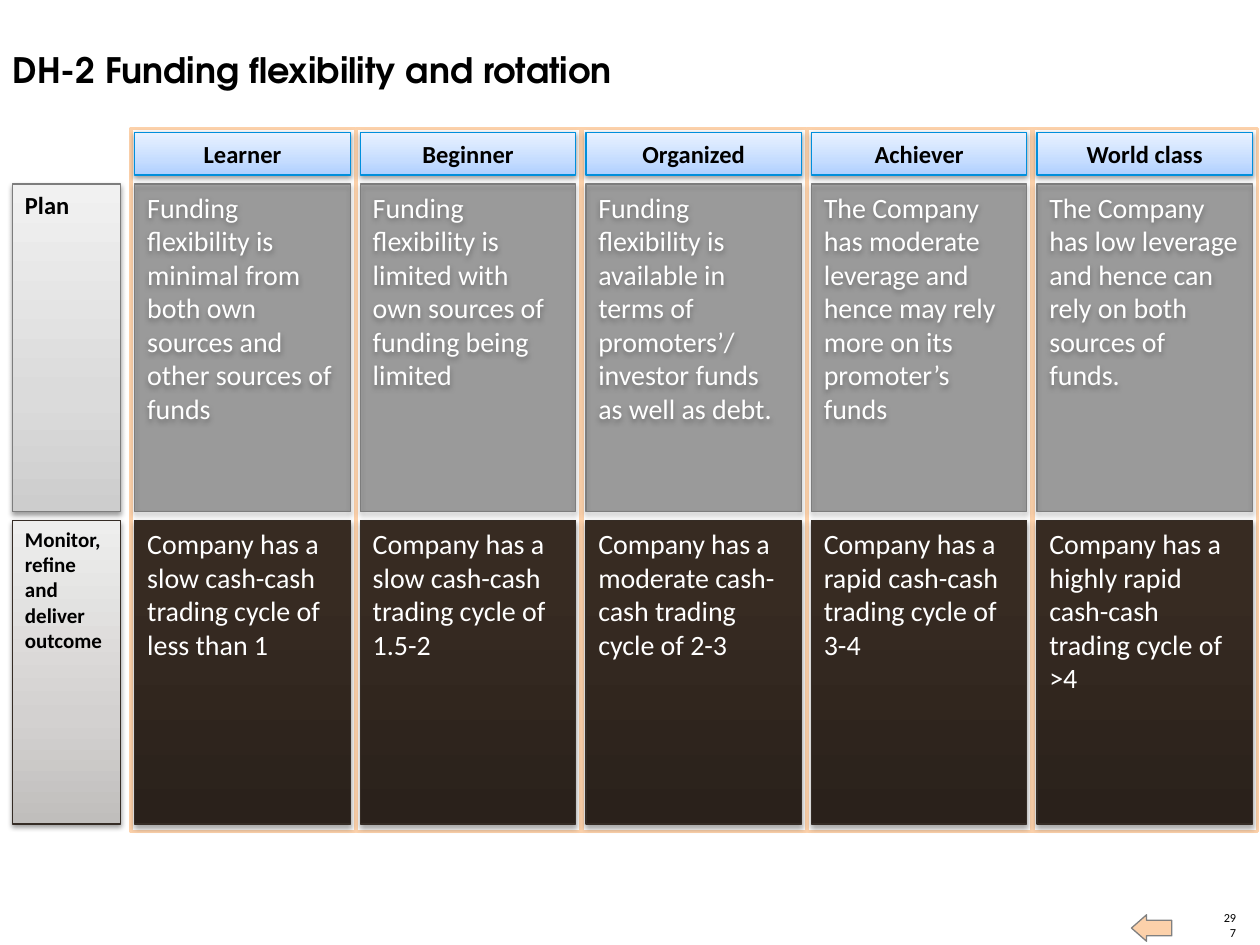
"""Build the funding flexibility and rotation maturity grid."""
from pptx import Presentation
from pptx import util as u
from pptx.dml.color import RGBColor
from pptx.enum import shapes, text
from pptx.oxml import parse_xml
from pptx.oxml.ns import nsdecls, qn

HEADING = "DH-2 Funding flexibility and rotation"
PAGE_NUMBER = "297"
LEVELS = ["Learner", "Beginner", "Organized", "Achiever", "World class"]
PLAN = [
    "Funding flexibility is minimal from both own sources and other sources of funds",
    "Funding flexibility is limited with own sources of funding being limited",
    "Funding flexibility is available in terms of promoters’/ investor funds as well as debt.",
    "The Company has moderate leverage and hence may rely more on its promoter’s funds",
    "The Company has low leverage and hence can rely on both sources of funds.",
]
OUTCOME = [
    "Company has a slow cash-cash trading cycle of less than 1",
    "Company has a slow cash-cash trading cycle of 1.5-2",
    "Company has a moderate cash-cash trading cycle of 2-3",
    "Company has a rapid cash-cash trading cycle of 3-4",
    "Company has a highly rapid cash-cash trading cycle of >4",
]

COLORS = {
    "black": "000000", "white": "FFFFFF", "peach": "FCD1AA", "arrow_edge": "808080",
    "plan_edge": "7D7D7D", "outcome_edge": "352C25", "level_edge": "008FDC",
}
GRADIENTS = {
    "plan_label": [(0, "CDCDCD"), (35, "DBDBDB"), (100, "F1F1F1")],
    "outcome_label": [(0, "C0BEBC"), (35, "D3D1D0"), (100, "EEEEED")],
    "outcome": [(0, "2A211B"), (80, "372B22"), (100, "372B22")],
    "level": [(0, "AECFFF"), (35, "C6DDFF"), (100, "E9F2FF")],
}
LABEL_SHADOW = {"alpha": 38, "distance": 1.6}
CELL_SHADOW = {"alpha": 35, "distance": 1.8}
TOP, MIDDLE = text.MSO_ANCHOR.TOP, text.MSO_ANCHOR.MIDDLE
LEFT, CENTER, RIGHT = text.PP_ALIGN.LEFT, text.PP_ALIGN.CENTER, text.PP_ALIGN.RIGHT

LABEL_LEFT, LABEL_WIDTH = 0.1, 0.86
PANEL_LEFT, PANEL_WIDTH, PITCH = 1.04, 1.78, 1.79
CELL_LEFT, CELL_WIDTH = 1.07, 1.71
LEVEL_BAND, PLAN_BAND, OUTCOME_BAND = (1.05, 0.34), (1.46, 2.6), (4.13, 2.41)


def rgb(name):
    return RGBColor.from_string(COLORS[name])


def apply(target, values):
    for name, value in values.items():
        setattr(target, name, value)


def write(shape, words, size, color="black", bold=False, font="Calibri",
          align=LEFT, anchor=TOP):
    frame = shape.text_frame
    apply(frame, {"text": words, "word_wrap": True, "vertical_anchor": anchor})
    paragraph = frame.paragraphs[0]
    paragraph.alignment = align
    apply(paragraph.font, {"name": font, "size": u.Pt(size), "bold": bold})
    paragraph.font.color.rgb = rgb(color)


def add_block(slide, box, edge, fill="white", width=0.75,
              kind=shapes.MSO_SHAPE.RECTANGLE):
    block = slide.shapes.add_shape(kind, *map(u.Inches, box))
    block.shadow.inherit = False
    block.fill.solid()
    block.fill.fore_color.rgb = rgb(fill)
    block.line.color.rgb = rgb(edge)
    block.line.width = u.Pt(width)
    return block


def set_gradient(block, stops):
    marks = "".join(f'<a:gs pos="{position * 1000}"><a:srgbClr val="{color}"/></a:gs>'
                    for position, color in stops)
    properties = block.fill._xPr
    properties.replace(properties.find(qn("a:solidFill")), parse_xml(
        f'<a:gradFill {nsdecls("a")} rotWithShape="1"><a:gsLst>{marks}</a:gsLst>'
        '<a:lin ang="16200000" scaled="0"/></a:gradFill>'))


def set_transparency(block, opacity):
    color = block.fill._xPr.find(qn("a:solidFill"))[0]
    color.append(parse_xml(f'<a:alpha {nsdecls("a")} val="{opacity * 1000}"/>'))


def set_shadow(block, alpha, distance):
    effects = block.fill._xPr.find(qn("a:effectLst"))
    effects.append(parse_xml(
        f'<a:outerShdw {nsdecls("a")} blurRad="{u.Pt(3.1)}" dist="{u.Pt(distance)}" '
        f'dir="5400000" rotWithShape="0"><a:srgbClr val="{COLORS["black"]}">'
        f'<a:alpha val="{alpha * 1000}"/></a:srgbClr></a:outerShdw>'))


def add_cell(slide, left, width, band, edge, words, style, shadow, gradient=None):
    top, height = band
    cell = add_block(slide, (left, top, width, height), edge, "black")
    if gradient:
        set_gradient(cell, GRADIENTS[gradient])
    else:
        set_transparency(cell, 32)
    set_shadow(cell, **shadow)
    write(cell, words, **style)


def main():
    deck = Presentation()
    apply(deck, {"slide_width": u.Inches(10), "slide_height": u.Inches(7.5)})
    slide = deck.slides.add_slide(deck.slide_layouts[5])

    heading = slide.shapes.title
    apply(heading, {"left": u.Inches(0), "top": u.Inches(0.33),
                    "width": u.Inches(8.6), "height": u.Inches(0.44)})
    write(heading, HEADING, 20, bold=True, font="TeX Gyre Adventor", anchor=MIDDLE)

    number = slide.shapes.add_textbox(*map(u.Inches, (9.69, 7.34, 0.12, 0.12)))
    apply(number.text_frame, dict.fromkeys(
        ("margin_left", "margin_top", "margin_right", "margin_bottom"), 0))
    write(number, PAGE_NUMBER, 7, align=RIGHT, anchor=text.MSO_ANCHOR.BOTTOM)

    back = add_block(slide, (8.98, 7.26, 0.32, 0.21), "arrow_edge", "peach",
                     kind=shapes.MSO_SHAPE.RIGHT_ARROW)
    back.rotation = 180
    back.adjustments[0], back.adjustments[1] = 0.59, 0.57

    for words, band, edge, gradient, size in (
            ("Plan", PLAN_BAND, "plan_edge", "plan_label", 14),
            ("Monitor, refine and deliver outcome", OUTCOME_BAND,
             "outcome_edge", "outcome_label", 12)):
        add_cell(slide, LABEL_LEFT, LABEL_WIDTH, band, edge, words,
                 {"size": size, "bold": True}, LABEL_SHADOW, gradient)

    for column in range(len(LEVELS)):
        add_block(slide, (PANEL_LEFT + column * PITCH, 1.02, PANEL_WIDTH, 5.58),
                  "peach", width=2)

    body = {"size": 16, "color": "white"}
    header = {"size": 14, "bold": True, "align": CENTER, "anchor": MIDDLE}
    for row, band, edge, style, shadow, gradient in (
            (PLAN, PLAN_BAND, "plan_edge", body, CELL_SHADOW, None),
            (OUTCOME, OUTCOME_BAND, "outcome_edge", body, CELL_SHADOW, "outcome"),
            (LEVELS, LEVEL_BAND, "level_edge", header, LABEL_SHADOW, "level")):
        for column, words in enumerate(row):
            add_cell(slide, CELL_LEFT + column * PITCH, CELL_WIDTH, band, edge,
                     words, style, shadow, gradient)

    deck.save("out.pptx")


if __name__ == "__main__":
    main()
